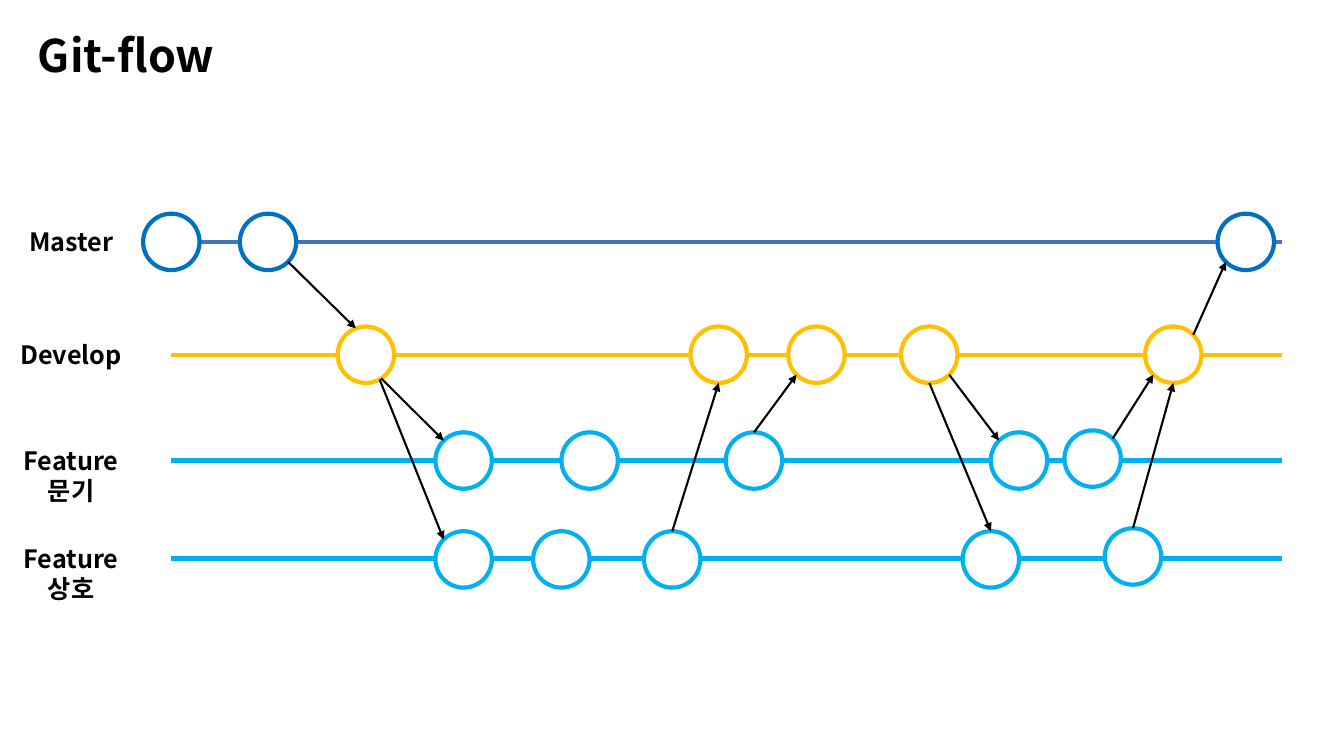
from math import cos, radians, sin
from typing import NamedTuple

from pptx import Presentation
from pptx.dml.color import RGBColor
from pptx.enum.shapes import MSO_CONNECTOR as Connector, MSO_SHAPE as Preset
from pptx.enum.text import PP_ALIGN as Align
from pptx.oxml.ns import qn
from pptx.util import Pt
from lxml.etree import SubElement

FONT = "Noto Sans CJK KR"
LANE_START, LANE_END = 122, 916
RADIUS = 20.16
BLACK, WHITE = "000000", "FFFFFF"
NAVY, BLUE, AMBER, SKY = "4472C4", "0070C0", "FFC000", "00B0F0"


class Commit(NamedTuple):
    x: float
    y: float

    def edge(self, angle: float) -> tuple[float, float]:
        """Point on the rim, counter-clockwise from the right."""
        turn = radians(angle)
        return self.x + RADIUS * cos(turn), self.y - RADIUS * sin(turn)


class Branch(NamedTuple):
    label: str
    y: float
    line_color: str
    commit_color: str
    commits: list[Commit]


class Flow(NamedTuple):
    source: Commit
    leave: float
    target: Commit
    arrive: float


def row(y: float, *centers: float) -> list[Commit]:
    return [Commit(x, y) for x in centers]


MASTER = row(172.8, 122.4, 191.5, 889.9)
DEVELOP = row(253.4, 261.4, 513.4, 583.2, 663.8, 838.1)
FEATURE_A = row(329, 331.2, 421.2, 538.6, 727.9) + row(327.6, 780.5)
FEATURE_B = row(399.6, 331.2, 401, 480.2, 707.8) + row(397.5, 809.3)

BRANCHES = [
    Branch("Master", 172.8, NAVY, BLUE, MASTER),
    Branch("Develop", 253.4, AMBER, AMBER, DEVELOP),
    Branch("Feature\n문기", 329, SKY, SKY, FEATURE_A),
    Branch("Feature\n상호", 398.9, SKY, SKY, FEATURE_B),
]

FLOWS = [
    Flow(MASTER[1], -45, DEVELOP[0], 111),
    Flow(DEVELOP[0], -57, FEATURE_A[0], 135),
    Flow(DEVELOP[0], -61, FEATURE_B[0], 135),
    Flow(FEATURE_B[2], 90, DEVELOP[1], -90),
    Flow(FEATURE_A[2], 90, DEVELOP[2], -135),
    Flow(DEVELOP[3], -45, FEATURE_A[3], 135),
    Flow(DEVELOP[3], -90, FEATURE_B[3], 90),
    Flow(FEATURE_A[4], 45, DEVELOP[4], -135),
    Flow(FEATURE_B[4], 90, DEVELOP[4], -90),
    Flow(DEVELOP[4], 45, MASTER[2], -135),
]


def paint(target, color: str) -> None:
    """Give a fill or a line one solid colour."""
    target.solid()
    target.fore_color.rgb = RGBColor.from_string(color)


def add_line(start: tuple[float, float], end: tuple[float, float],
             color: str, width: float, arrow: bool = False) -> None:
    line = slide.shapes.add_connector(
        Connector.STRAIGHT, *(Pt(value) for value in (*start, *end)))
    paint(line.line.fill, color)
    line.line.width = Pt(width)
    properties = line._element.spPr
    if arrow:
        SubElement(properties.find(qn("a:ln")), qn("a:tailEnd"), type="triangle")
    SubElement(properties, qn("a:effectLst"))


def add_commit(commit: Commit, color: str) -> None:
    circle = slide.shapes.add_shape(
        Preset.OVAL, Pt(commit.x - RADIUS), Pt(commit.y - RADIUS),
        Pt(2 * RADIUS), Pt(2 * RADIUS))
    circle.shadow.inherit = False
    paint(circle.fill, WHITE)
    paint(circle.line.fill, color)
    circle.line.width = Pt(3)


def add_text(text: str, left: float, top: float, width: float, height: float,
             size: float, align: Align) -> None:
    frame = slide.shapes.add_textbox(
        Pt(left), Pt(top), Pt(width), Pt(height)).text_frame
    frame.word_wrap = True
    frame.text = text
    for paragraph in frame.paragraphs:
        paragraph.alignment = align
        for run in paragraph.runs:
            run.font.name = FONT
            run.font.size = Pt(size)
            run.font.bold = True
            paint(run.font.fill, BLACK)
            SubElement(run.font._element, qn("a:ea"), typeface=FONT)


deck = Presentation()
deck.slide_width, deck.slide_height = Pt(960), Pt(540)
slide = deck.slides.add_slide(deck.slide_layouts[6])

# Title
add_text("Git-flow", 20, 16.5, 480, 46, 32, Align.LEFT)

# Branch lanes with their labels and commits
for branch in BRANCHES:
    add_line((LANE_START, branch.y), (LANE_END, branch.y), branch.line_color, 3)
    label_height = 29 + 22 * branch.label.count("\n")
    add_text(branch.label, 0, branch.y - 14.4, 101.5, label_height, 18, Align.CENTER)
    for commit in branch.commits:
        add_commit(commit, branch.commit_color)

# Branching and merging arrows
for flow in FLOWS:
    add_line(flow.source.edge(flow.leave), flow.target.edge(flow.arrive),
             BLACK, 1.5, arrow=True)

deck.save("out.pptx")
